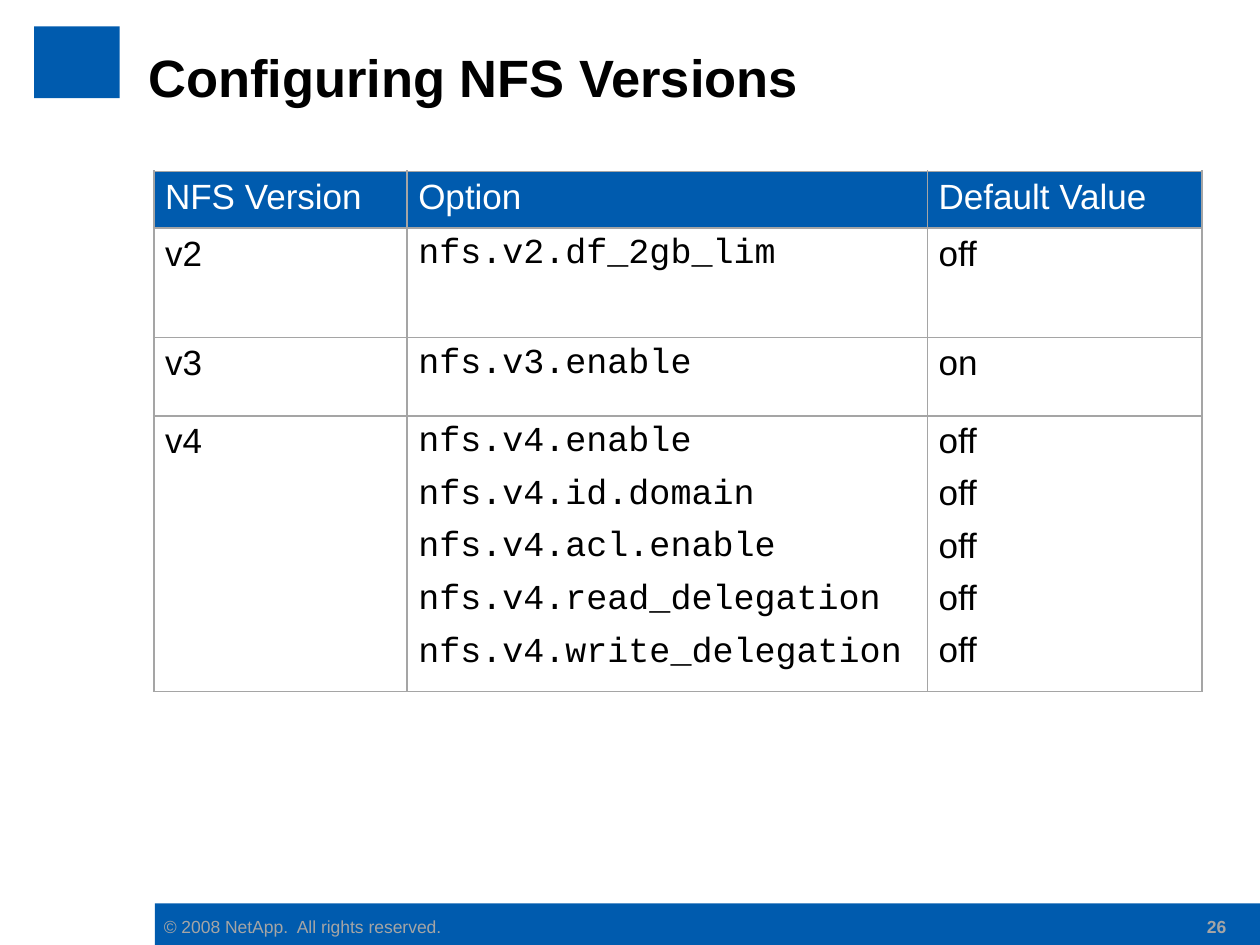
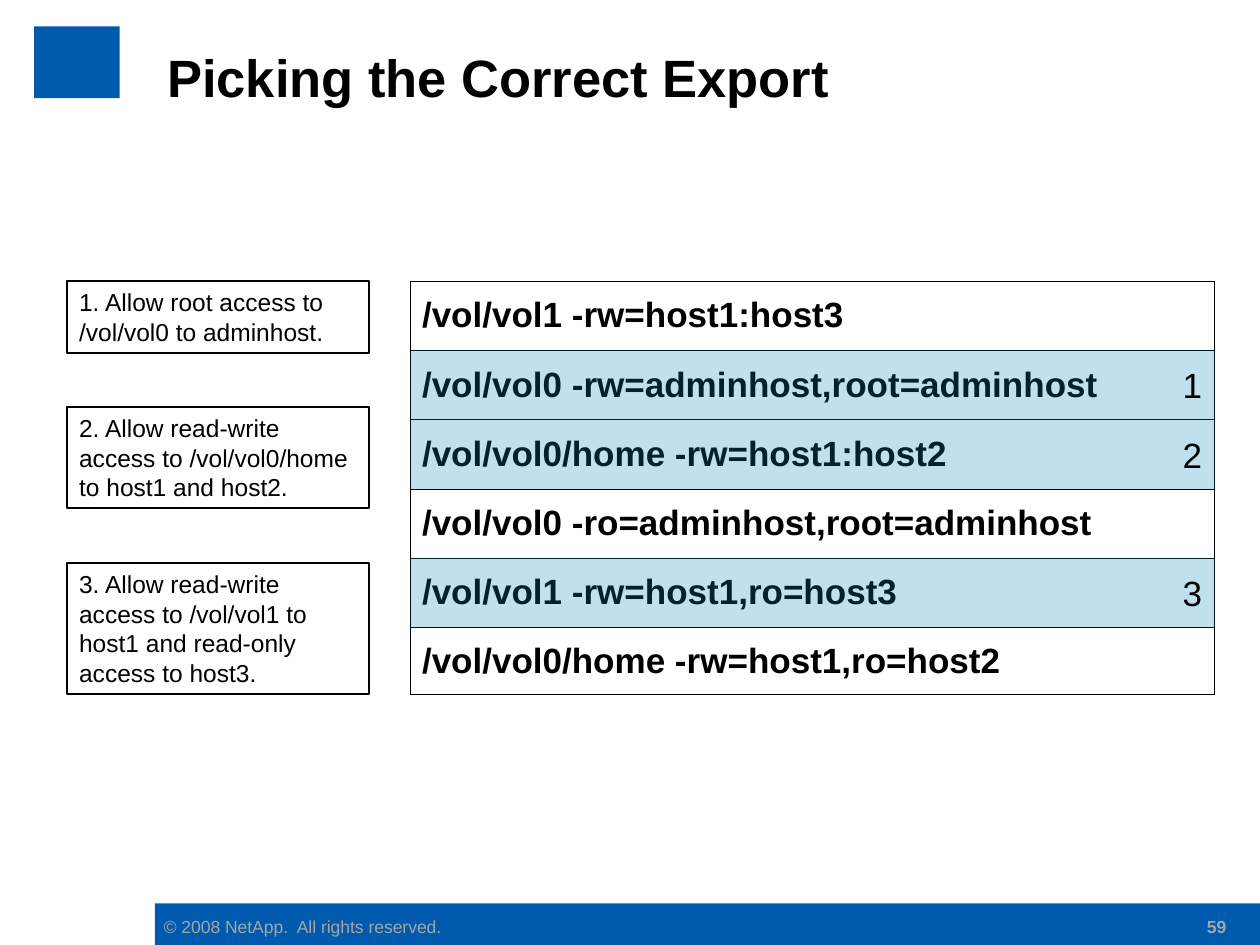
from dataclasses import dataclass

from lxml.etree import SubElement
from pptx import Presentation
from pptx.dml.color import RGBColor
from pptx.enum.shapes import MSO_SHAPE as Shape
from pptx.enum.text import MSO_ANCHOR as Anchor, PP_ALIGN as Align
from pptx.oxml.ns import qn
from pptx.util import Inches, Pt


@dataclass(frozen=True)
class Theme:
    blue: str = "005BAE"
    grey: str = "A5A5A5"
    black: str = "000000"
    white: str = "FFFFFF"
    marker: str = "0085B4"
    marker_alpha: int = 25
    sans: str = "Arial"
    mono: str = "Courier New"
    title: int = 30
    body: int = 20
    note: int = 14
    small: int = 10
    para_gap: float = 7.5


T = Theme()
COPYRIGHT = "© 2008 NetApp.  All rights reserved."


def write(tf, lines, size=T.body, color=T.black, font=T.sans, bold=False,
          align=Align.LEFT, anchor=Anchor.TOP, wrap=True, inset=(0.1, 0.05)):
    tf.word_wrap = wrap
    tf.vertical_anchor = anchor
    tf.margin_left = tf.margin_right = Inches(inset[0])
    tf.margin_top = tf.margin_bottom = Inches(inset[1])
    for i, line in enumerate(lines):
        p = tf.add_paragraph() if i else tf.paragraphs[0]
        p.alignment = align
        if i:
            p.space_before = Pt(T.para_gap)
        r = p.add_run()
        r.text = line
        r.font.size = Pt(size)
        r.font.name = font
        r.font.bold = bold
        r.font.color.rgb = RGBColor.from_string(color)


def add_text(s, box, text, **fmt):
    tb = s.shapes.add_textbox(*map(Inches, box))
    write(tb.text_frame, [text], **fmt)


def add_box(s, box, fill, line=None, alpha=None):
    sp = s.shapes.add_shape(Shape.RECTANGLE, *map(Inches, box))
    sp.shadow.inherit = False
    sp.fill.solid()
    sp.fill.fore_color.rgb = RGBColor.from_string(fill)
    if alpha:
        clr = sp.fill._xPr.find(".//" + qn("a:srgbClr"))
        SubElement(clr, qn("a:alpha"), val=str(alpha * 1000))
    if line:
        sp.line.color.rgb = RGBColor.from_string(line)
        sp.line.width = Pt(1)
    else:
        sp.line.fill.background()
    return sp


def set_borders(cell, color, width):
    pr = cell._tc.get_or_add_tcPr()
    for side in "LRTB":
        ln = SubElement(pr, qn("a:ln" + side), w=str(Pt(width)))
        SubElement(SubElement(ln, qn("a:solidFill")), qn("a:srgbClr"), val=color)


def add_grid(s, left, top, widths, heights, border, border_width):
    box = (left, top, sum(widths), sum(heights))
    tbl = s.shapes.add_table(len(heights), len(widths), *map(Inches, box)).table
    tbl.first_row = tbl.horz_banding = False
    for col, w in zip(tbl.columns, widths):
        col.width = Inches(w)
    for row, h in zip(tbl.rows, heights):
        row.height = Inches(h)
    for cell in tbl.iter_cells():
        set_borders(cell, border, border_width)
        cell.fill.background()
    return tbl


def write_cell(cell, lines, anchor=Anchor.TOP, **fmt):
    write(cell.text_frame, lines, **fmt)
    cell.text_frame._txBody.bodyPr.attrib.clear()
    cell.vertical_anchor = anchor
    cell.margin_left = cell.margin_right = Inches(0.09)
    cell.margin_top = cell.margin_bottom = Inches(0.05)


def add_frame(prs, title, number, title_left):
    s = prs.slides.add_slide(prs.slide_layouts[6])
    add_box(s, (1.23, 7.17, 8.77, 0.33), T.blue)
    add_text(s, (1.3, 7.27, 2.21, 0.17), COPYRIGHT, size=T.small, color=T.grey,
             wrap=False, inset=(0, 0))
    add_box(s, (0.27, 0.21, 0.68, 0.57), T.blue)
    add_text(s, (title_left, 0.11, 8.77, 1), title, size=T.title, bold=True,
             anchor=Anchor.MIDDLE, inset=(0.1, 0))
    add_text(s, (9.08, 7.22, 0.75, 0.25), str(number), size=T.small,
             color=T.grey, bold=True, align=Align.RIGHT)
    return s


def add_version_table(s, left, top):
    header = ["NFS Version", "Option", "Default Value"]
    versions = [
        ("v2", {"nfs.v2.df_2gb_lim": "off"}),
        ("v3", {"nfs.v3.enable": "on"}),
        ("v4", {"nfs.v4.enable": "off", "nfs.v4.id.domain": "off",
                "nfs.v4.acl.enable": "off", "nfs.v4.read_delegation": "off",
                "nfs.v4.write_delegation": "off"}),
    ]
    tbl = add_grid(s, left, top, [2.01, 4.13, 2.18], [0.45, 0.87, 0.62, 2.19],
                   T.grey, 1.08)
    for c, name in enumerate(header):
        cell = tbl.cell(0, c)
        cell.fill.solid()
        cell.fill.fore_color.rgb = RGBColor.from_string(T.blue)
        write_cell(cell, [name], color=T.white)
    for i, (version, options) in enumerate(versions, 1):
        write_cell(tbl.cell(i, 0), [version])
        write_cell(tbl.cell(i, 1), list(options), font=T.mono)
        write_cell(tbl.cell(i, 2), list(options.values()))


def add_tasks(s, left, top):
    tasks = [
        (0, 0.57, "1. Allow root access to /vol/vol0 to adminhost."),
        (1, 0.8, "2. Allow read-write access to /vol/vol0/home to host1 and host2."),
        (2.24, 1.04, "3. Allow read-write access to /vol/vol1 to host1 "
                     "and read-only access to host3."),
    ]
    for offset, height, text in tasks:
        sp = add_box(s, (left, top + offset, 2.4, height), T.white, T.black)
        write(sp.text_frame, [text], size=T.note)


def add_exports(s, left, top):
    width, row_h = 6.38, 0.55
    exports = [
        ("/vol/vol1 -rw=host1:host3", None),
        ("/vol/vol0 -rw=adminhost,root=adminhost", "1"),
        ("/vol/vol0/home -rw=host1:host2", "2"),
        ("/vol/vol0 -ro=adminhost,root=adminhost", None),
        ("/vol/vol1 -rw=host1,ro=host3", "3"),
        ("/vol/vol0/home -rw=host1,ro=host2", None),
    ]
    heights = [row_h] * (len(exports) - 1) + [0.53]
    tbl = add_grid(s, left, top, [width], heights, T.black, 0.45)
    for i, (export, answer) in enumerate(exports):
        write_cell(tbl.cell(i, 0), [export], bold=True, anchor=Anchor.MIDDLE)
        if answer:
            sp = add_box(s, (left, top + i * row_h, width, row_h), T.marker,
                         alpha=T.marker_alpha)
            write(sp.text_frame, [answer], align=Align.RIGHT,
                  anchor=Anchor.MIDDLE, wrap=False)


def main():
    prs = Presentation()
    prs.slide_width, prs.slide_height = Inches(10), Inches(7.5)
    s = add_frame(prs, "Configuring NFS Versions", 26, 1.08)
    add_version_table(s, 1.22, 1.36)
    s = add_frame(prs, "Picking the Correct Export", 59, 1.23)
    add_tasks(s, 0.53, 2.23)
    add_exports(s, 3.26, 2.23)
    prs.save("out.pptx")


if __name__ == "__main__":
    main()
